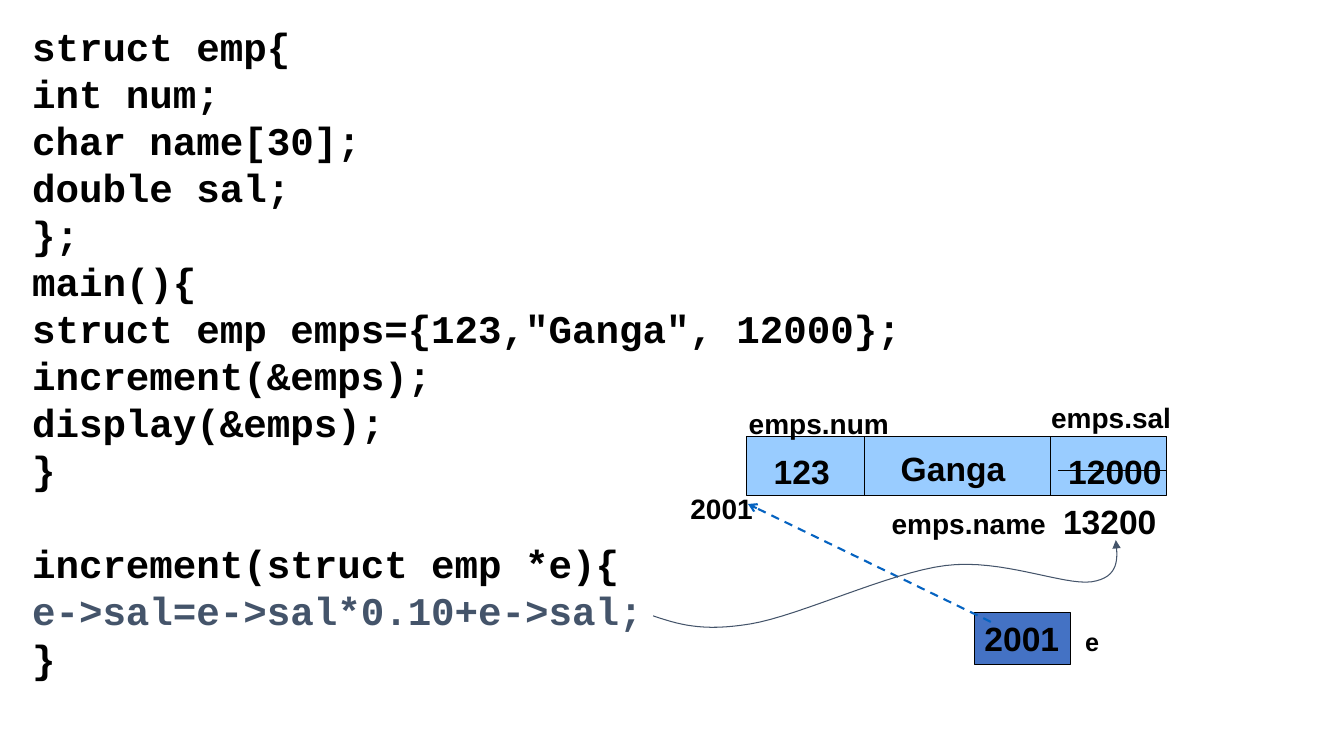
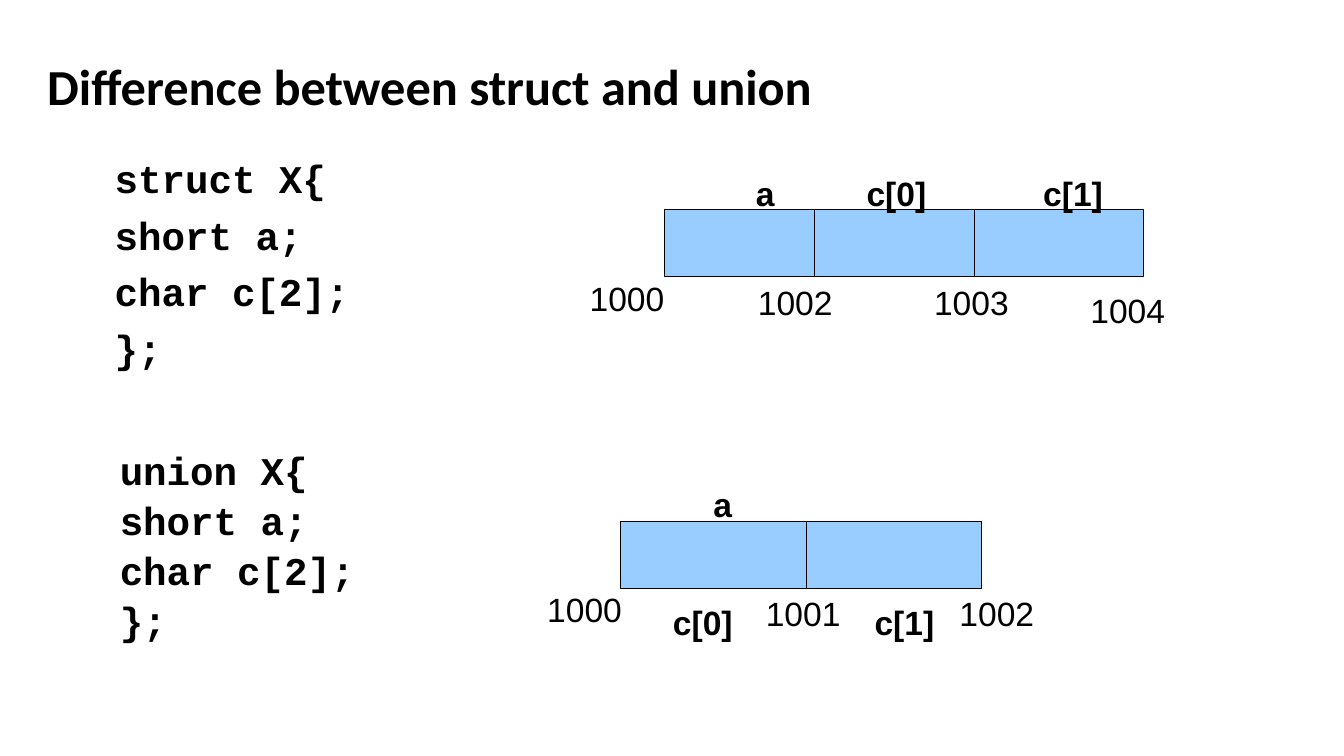
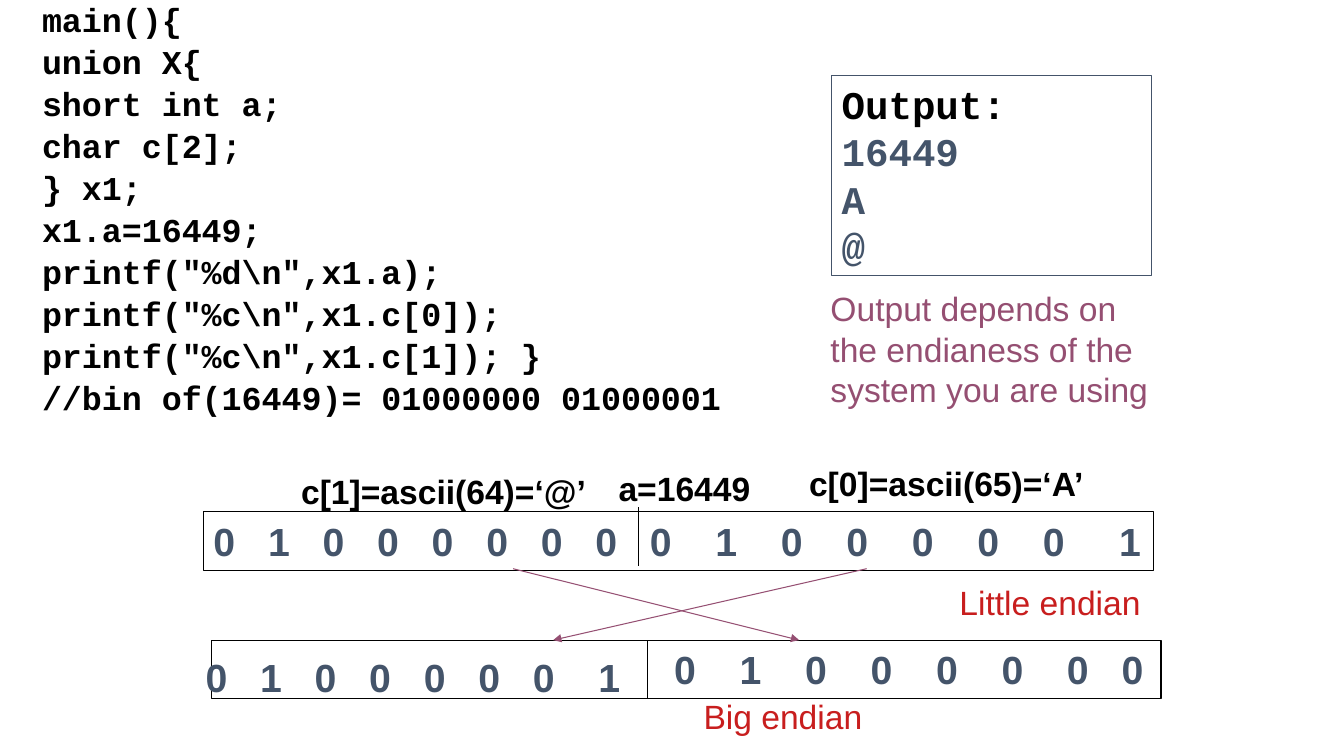
from dataclasses import dataclass
from itertools import accumulate

from lxml.etree import SubElement
from pptx import Presentation
from pptx.dml.color import RGBColor
from pptx.enum.dml import MSO_LINE
from pptx.enum.shapes import MSO_CONNECTOR, MSO_SHAPE
from pptx.enum.text import MSO_ANCHOR, MSO_AUTO_SIZE, PP_ALIGN
from pptx.oxml.ns import qn
from pptx.util import Cm, Pt


@dataclass(frozen=True)
class Theme:
    black: str = "000000"
    slate: str = "44546A"
    cell: str = "99CCFF"
    pointer: str = "4472C4"
    link: str = "0563C1"
    plum: str = "954F72"
    red: str = "C81E1E"
    sans: str = "Arial"
    mono: str = "Courier New"
    heading: str = "Calibri"
    title: float = 36
    code: float = 28
    small_code: float = 23.8
    label: float = 24
    caption: float = 20
    note: float = 18
    hairline: float = 0.75


THEME = Theme()

# Content: all positions and lengths are in centimetres
INCREMENT_CODE = [
    "struct emp{", "int num;", "char name[30];", "double sal;", "};", "main(){",
    'struct emp emps={123,"Ganga", 12000};', "increment(&emps);", "display(&emps);", "}",
    "increment(struct emp *e){", "e->sal=e->sal*0.10+e->sal;", "}",
]
# text, left, top, width, size
EMPLOYEE_LABELS = [
    ("123", 19.25, 11.23, 1.93, THEME.label),
    ("Ganga", 22.45, 11.15, 3.15, THEME.label),
    ("12000", 26.67, 11.23, 2.87, THEME.label),
    ("13200", 26.54, 12.5, 2.87, THEME.label),
    ("emps.num", 18.62, 10.13, 4.04, THEME.caption),
    ("emps.name", 22.22, 12.65, 4.39, THEME.caption),
    ("emps.sal", 26.24, 9.96, 3.53, THEME.caption),
    ("2001", 17.15, 12.27, 2.08, THEME.caption),
    ("e", 27.1, 15.67, 0.86, THEME.note),
]
# Start point, then two controls and an end for each cubic segment
UPDATE_CURVE = [
    (16.46, 15.52),
    (17.07, 15.72), (17.68, 15.93), (18.92, 15.72),
    (20.14, 15.52), (22.4, 14.43), (23.83, 14.25),
    (25.25, 14.07), (26.8, 14.76), (27.51, 14.66),
    (28.22, 14.55), (28.17, 14.07), (28.12, 13.61),
]

MEMBERS = ["short a;", "char c[2];", "};"]
# keyword, code left, code top, space before, row box, dividers, names, addresses
LAYOUTS = [
    ("struct", 2.64, 3.91, 10, (16.74, 5.28, 12.07, 1.7), [20.52, 24.56],
     [("a", 18.8, 4.24), ("c[0]", 21.59, 4.24), ("c[1]", 26.04, 4.24)],
     [("1000", 14.61, 6.88), ("1002", 18.85, 6.99), ("1003", 23.29, 6.99),
      ("1004", 27.23, 7.19)]),
    ("union", 2.77, 11.25, 5.6, (15.65, 13.13, 9.09, 1.7), [20.32],
     [("a", 17.73, 12.07), ("c[0]", 16.71, 15.04), ("c[1]", 21.79, 15.04)],
     [("1000", 13.54, 14.71), ("1001", 19.05, 14.81), ("1002", 23.93, 14.81)]),
]
LABEL_WIDTHS = {1: 0.99, 4: 2.03}
ADDRESS_WIDTH = 2.39

UNION_CODE = [
    "main(){", "union X{", "short int a;", "char c[2];", "} x1;", "x1.a=16449;",
    r'printf("%d\n",x1.a);', r'printf("%c\n",x1.c[0]);', r'printf("%c\n",x1.c[1]);' + "\t}",
    "//bin of(16449)= 01000000 01000001",
]
OUTPUT = ["Output:", "16449", "A", "@"]
BYTE_LABELS = [
    ("a=16449", 15.34, 11.66, 3.84),
    ("c[1]=ascii(64)=‘@’", 7.34, 11.73, 7.7),
    ("c[0]=ascii(65)=‘A’", 20.14, 11.53, 7.47),
]
ENDIAN_LABELS = [("Big endian", 17.48, 17.42, 4.52), ("Little endian", 23.93, 14.53, 5.08)]
# bits, gap after each bit in half digits, box
BIT_UNIT = 0.275
BIT_ROWS = [
    ("0100000001000001", [3] * 8 + [4] * 6 + [5], (5.13, 12.9, 23.93, 1.47)),
    ("01000000", [4] * 6 + [3], (16.74, 16.13, 12.29, 1.45)),
    ("01000001", [3] * 6 + [4], (4.93, 16.33, 10.95, 1.45)),
]
BYTE_SWAP = [((21.84, 14.33), (13.94, 16.13)), ((12.93, 14.33), (20.14, 16.13))]


# Drawing helpers
def style_line(shape, color, width=THEME.hairline, tail=None):
    shape.line.color.rgb = RGBColor.from_string(color)
    shape.line.width = Pt(width)
    if tail:
        SubElement(shape.line._get_or_add_ln(), qn("a:tailEnd"), type=tail)


def add_line(slide, start, end, color=THEME.black, width=THEME.hairline, tail=None, dash=None):
    line = slide.shapes.add_connector(
        MSO_CONNECTOR.STRAIGHT, *(Cm(value) for value in (*start, *end)))
    line.line.dash_style = dash
    style_line(line, color, width, tail)
    SubElement(line._element.spPr, qn("a:effectLst"))


def add_box(slide, box, fill=None, line=THEME.black):
    shape = slide.shapes.add_shape(MSO_SHAPE.RECTANGLE, *(Cm(value) for value in box))
    shape.shadow.inherit = False
    if fill:
        shape.fill.solid()
        shape.fill.fore_color.rgb = RGBColor.from_string(fill)
    else:
        shape.fill.background()
    style_line(shape, line)
    return shape


def add_memory(slide, box, dividers, fill=None, lift=0):
    left, top, width, height = box
    add_box(slide, box, fill)
    for x in dividers:
        add_line(slide, (x, top - lift), (x, top + height - lift))


def write(shape, lines, size, font=THEME.sans, color=THEME.black, bold=True,
          wrap=True, spacing=None, before=None, colors=None):
    """Fill a shape with one paragraph per line; colors overrides single lines."""
    frame = shape.text_frame
    frame.word_wrap = wrap
    frame.vertical_anchor = MSO_ANCHOR.TOP
    for index, text in enumerate(lines):
        paragraph = frame.paragraphs[0] if index == 0 else frame.add_paragraph()
        paragraph.alignment = PP_ALIGN.LEFT
        if spacing:
            paragraph.line_spacing = spacing
        if before:
            paragraph.space_before = Pt(before)
        run = paragraph.add_run()
        run.text = text
        run.font.name = font
        run.font.size = Pt(size)
        run.font.bold = bold
        run.font.color.rgb = RGBColor.from_string((colors or {}).get(index, color))
    return frame


def add_text(slide, box, lines, size, **options):
    shape = slide.shapes.add_textbox(*(Cm(value) for value in box))
    return write(shape, lines, size, **options)


def add_label(slide, text, left, top, width, size=THEME.label, **options):
    height = round(size * 1.2 / 72 * 2.54 + 0.25, 2)
    frame = add_text(slide, (left, top, width, height), [text], size, wrap=False, **options)
    frame.auto_size = MSO_AUTO_SIZE.SHAPE_TO_FIT_TEXT


def add_curve(slide, points, color, steps=16):
    samples = []
    for first in range(0, len(points) - 1, 3):
        corners = points[first:first + 4]
        for step in range(1, steps + 1):
            t = step / steps
            weights = ((1 - t) ** 3, 3 * t * (1 - t) ** 2, 3 * t * t * (1 - t), t ** 3)
            samples.append(tuple(
                Cm(sum(weight * corner[axis] for weight, corner in zip(weights, corners)))
                for axis in (0, 1)))
    start_x, start_y = points[0]
    builder = slide.shapes.build_freeform(Cm(start_x), Cm(start_y))
    builder.add_line_segments(samples, close=False)
    curve = builder.convert_to_shape()
    curve.shadow.inherit = False
    curve.fill.background()
    style_line(curve, color, tail="triangle")


def add_bits(slide, bits, gaps, box):
    frame = add_text(slide, box, ["\t".join(bits)], THEME.code, color=THEME.slate)
    frame.margin_right = 0
    tabs = SubElement(frame.paragraphs[0]._p.get_or_add_pPr(), qn("a:tabLst"))
    for units in accumulate(gap + 2 for gap in gaps):
        SubElement(tabs, qn("a:tab"), pos=str(Cm(units * BIT_UNIT)), algn="l")


# Slides
def build_increment(slide):
    frame = add_text(slide, (0.56, 0.43, 26.75, 16.87), INCREMENT_CODE, THEME.code,
                     font=THEME.mono, colors={11: THEME.slate})
    frame.paragraphs[10].space_before = Pt(THEME.code * 1.2)
    add_memory(slide, (18.82, 11, 10.59, 1.48), [21.79, 26.47], THEME.cell)
    for label in EMPLOYEE_LABELS:
        add_label(slide, *label)
    pointer = add_box(slide, (24.56, 15.44, 2.41, 1.3), THEME.pointer)
    write(pointer, ["2001"], THEME.label, wrap=False)
    add_line(slide, (24.97, 15.67), (18.85, 12.7), THEME.link, 1.5, "arrow", MSO_LINE.DASH)
    add_line(slide, (26.67, 11.86), (29.41, 11.86))
    add_curve(slide, UPDATE_CURVE, THEME.slate)


def build_difference(slide):
    title = add_text(slide, (0.94, 0.41, 30.61, 3.68), ["Difference between struct and union"],
                     THEME.title, font=THEME.heading, spacing=0.9)
    title.vertical_anchor = MSO_ANCHOR.MIDDLE
    for keyword, left, top, before, row, dividers, names, addresses in LAYOUTS:
        add_text(slide, (left, top, 8.69, 6.15), [f"{keyword} X{{", *MEMBERS], THEME.code,
                 font=THEME.mono, spacing=0.9, before=before)
        add_memory(slide, row, dividers, THEME.cell)
        for name, x, y in names:
            add_label(slide, name, x, y, LABEL_WIDTHS[len(name)])
        for address, x, y in addresses:
            add_label(slide, address, x, y, ADDRESS_WIDTH, bold=False)


def build_endianness(slide):
    code = add_text(slide, (0.81, 0.13, 28.58, 10.82), UNION_CODE, THEME.small_code,
                    font=THEME.mono, spacing=0.7, before=10)
    for paragraph in code.paragraphs:
        properties = paragraph._p.get_or_add_pPr()
        properties.set("marL", str(Cm(0.64)))
        properties.set("indent", str(Cm(-0.64)))
    output = add_box(slide, (20.96, 1.91, 8.05, 5.03), line=THEME.slate)
    write(output, OUTPUT, THEME.code, font=THEME.mono, color=THEME.slate,
          colors={0: THEME.black})
    add_text(slide, (20.68, 7.14, 8.97, 3.33),
             ["Output depends on the endianess of the system you are using"],
             THEME.label, color=THEME.plum, bold=False)
    # Two byte orders
    add_memory(slide, (5.13, 12.9, 23.93, 1.47), [16.08], lift=0.12)
    add_memory(slide, (5.33, 16.13, 23.93, 1.47), [16.33])
    for bits, gaps, box in BIT_ROWS:
        add_bits(slide, bits, gaps, box)
    for label in BYTE_LABELS:
        add_label(slide, *label)
    for start, end in BYTE_SWAP:
        add_line(slide, start, end, THEME.plum, tail="triangle")
    for label in ENDIAN_LABELS:
        add_label(slide, *label, color=THEME.red, bold=False)


def main():
    presentation = Presentation()
    presentation.slide_width = Cm(33.87)
    presentation.slide_height = Cm(19.05)
    for build in (build_increment, build_difference, build_endianness):
        build(presentation.slides.add_slide(presentation.slide_layouts[6]))
    presentation.save("out.pptx")


if __name__ == "__main__":
    main()
